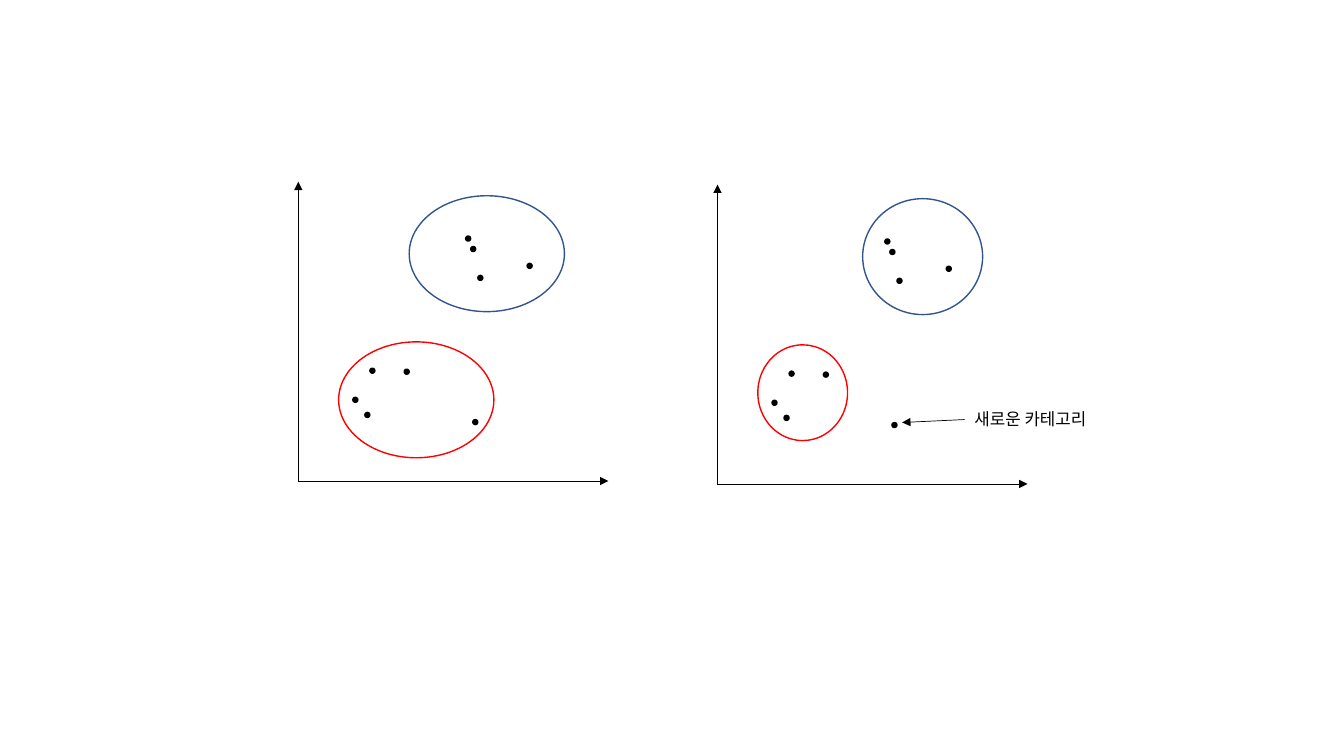
import pptx
import pptx.util
import pptx.dml.color
import pptx.enum.shapes
import pptx.oxml.ns
import lxml.etree

Pt = pptx.util.Pt
COLORS = {"ink": "000000", "blue": "325491", "red": "FF0000"}
FONT = "Noto Sans CJK KR"

AXIS_WIDTH, AXIS_HEIGHT = 221.5, 213.8
DOT_SIZE = 3.6

# Offsets from the origin of a plot: x to the right, y downwards.
DOTS = [
    (163.4, -155.5), (47.5, -49), (38.9, -59.8),
    (119.5, -175), (123.1, -167.5), (124.6, -43.9),
    (75.6, -79.9), (128.2, -146.9), (51.1, -80.6),
]
BEFORE = {"blue": (79.2, -203.8, 110.9, 82.8), "red": (28.8, -99.4, 110.9, 82.8)}
AFTER = {"blue": (103.7, -203.8, 85.7, 82.8), "red": (28.8, -99.4, 64.1, 68.4)}


def add_xml(parent, tag, **attributes):
    return lxml.etree.SubElement(parent, pptx.oxml.ns.qn(tag), attributes)


class ClusterSlide:
    def __init__(self, slide):
        self.shapes = slide.shapes

    def color(self, name):
        return pptx.dml.color.RGBColor.from_string(COLORS[name])

    def ellipse(self, left, top, width, height, line, fill=None):
        oval = self.shapes.add_shape(
            pptx.enum.shapes.MSO_SHAPE.OVAL, Pt(left), Pt(top), Pt(width), Pt(height))
        oval.shadow.inherit = False
        oval.line.color.rgb = self.color(line)
        oval.line.width = Pt(1)
        if fill:
            oval.fill.solid()
            oval.fill.fore_color.rgb = self.color(fill)
        else:
            oval.fill.background()

    def arrow(self, x1, y1, x2, y2):
        connector = self.shapes.add_connector(
            pptx.enum.shapes.MSO_CONNECTOR.STRAIGHT, Pt(x1), Pt(y1), Pt(x2), Pt(y2))
        connector.line.color.rgb = self.color("ink")
        connector.line.width = Pt(0.5)
        add_xml(connector.line._get_or_add_ln(), "a:tailEnd", type="triangle")
        add_xml(connector._element.spPr, "a:effectLst")

    def label(self, text, left, top, width, height):
        box = self.shapes.add_textbox(Pt(left), Pt(top), Pt(width), Pt(height))
        box.text_frame.word_wrap = True
        box.text_frame.text = text
        span = box.text_frame.paragraphs[0].runs[0]
        span.font.size = Pt(12)
        span.font.name = FONT
        span.font.color.rgb = self.color("ink")
        add_xml(span.font._element, "a:ea", typeface=FONT)

    def plot(self, x, y, clusters):
        """Draw axes, dots and cluster outlines around the origin (x, y)."""
        self.arrow(x, y, x, y - AXIS_HEIGHT)
        self.arrow(x, y, x + AXIS_WIDTH, y)
        for dx, dy in DOTS:
            self.ellipse(x + dx, y + dy, DOT_SIZE, DOT_SIZE, "ink", "ink")
        for name, (dx, dy, width, height) in clusters.items():
            self.ellipse(x + dx, y + dy, width, height, name)


def main():
    deck = pptx.Presentation()
    deck.slide_width, deck.slide_height = Pt(960), Pt(540)
    page = ClusterSlide(deck.slides.add_slide(deck.slide_layouts[6]))
    page.plot(213.1, 343.6, BEFORE)
    page.plot(512.5, 345.7, AFTER)
    page.arrow(689, 299.7, 644.4, 301.8)
    page.label("새로운 카테고리", 689, 288.7, 103.7, 21.8)
    deck.save("out.pptx")


if __name__ == "__main__":
    main()
